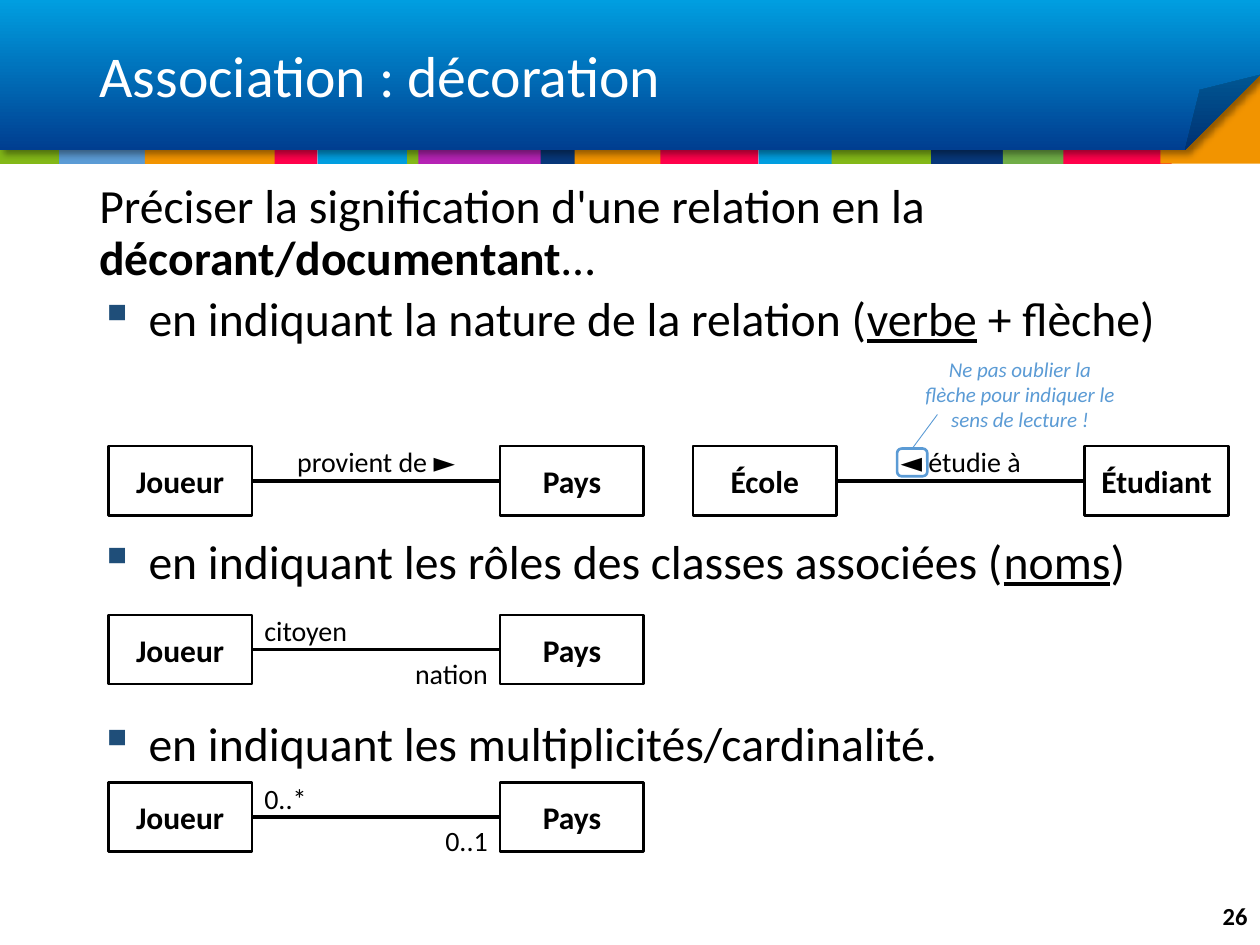
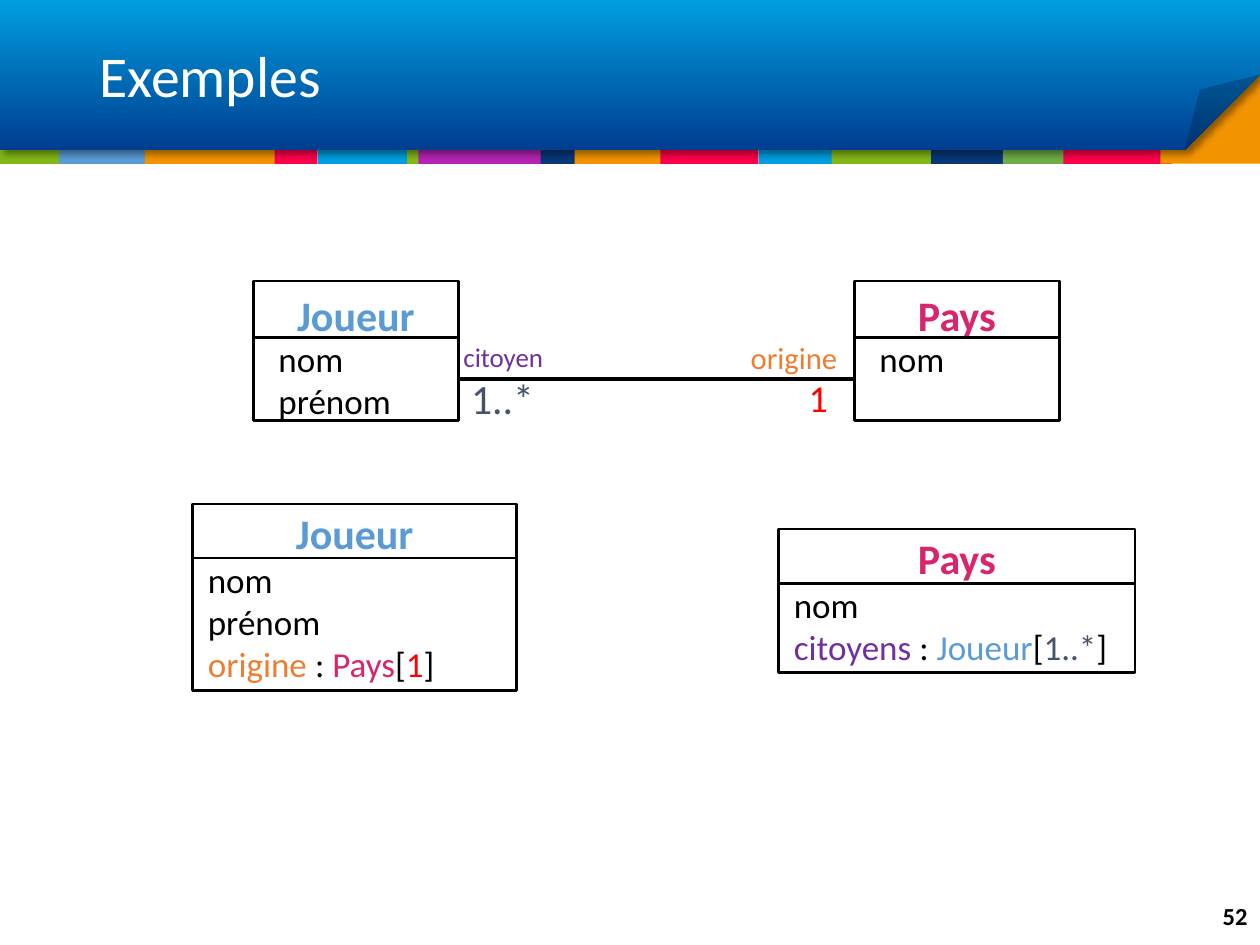
"""Builds two slides on UML associations: decoration and examples."""
from lxml import etree
from pptx import Presentation
from pptx.dml.color import RGBColor
from pptx.enum.shapes import MSO_CONNECTOR, MSO_SHAPE
from pptx.enum.text import MSO_ANCHOR, MSO_AUTO_SIZE, PP_ALIGN
from pptx.oxml import parse_xml
from pptx.oxml.ns import nsdecls, qn
from pptx.util import Inches, Pt

RECT, ROUND, FOLDED = MSO_SHAPE.RECTANGLE, MSO_SHAPE.ROUNDED_RECTANGLE, MSO_SHAPE.FOLDED_CORNER
STRAIGHT = MSO_CONNECTOR.STRAIGHT
LEFT, CENTER, RIGHT = PP_ALIGN.LEFT, PP_ALIGN.CENTER, PP_ALIGN.RIGHT
TOP, MIDDLE = MSO_ANCHOR.TOP, MSO_ANCHOR.MIDDLE
NO_FIT = MSO_AUTO_SIZE.NONE

FONT = "Calibri"
BLACK = RGBColor(0x00, 0x00, 0x00)
WHITE = RGBColor(0xFF, 0xFF, 0xFF)
CYAN = RGBColor(0x00, 0x9E, 0xE0)
DEEP_BLUE = RGBColor(0x00, 0x3E, 0x90)
NAVY = RGBColor(0x07, 0x37, 0x79)
SKY = RGBColor(0x5B, 0x9B, 0xD5)
LIME = RGBColor(0x83, 0xB8, 0x18)
GREEN = RGBColor(0x70, 0xAD, 0x47)
AMBER = RGBColor(0xF2, 0x94, 0x00)
RED = RGBColor(0xFF, 0x01, 0x4B)
VIOLET = RGBColor(0xB5, 0x23, 0xB4)
BULLET = RGBColor(0x1F, 0x4E, 0x79)
PINK = RGBColor(0xD8, 0x26, 0x6E)
ORANGE = RGBColor(0xED, 0x7D, 0x31)
PURPLE = RGBColor(0x70, 0x30, 0xA0)
SLATE = RGBColor(0x44, 0x54, 0x6A)
BRIGHT_RED = RGBColor(0xFF, 0x00, 0x00)

BAND_TOP, BAND_HEIGHT = 0.81, 0.49
BANDS = [
    (2.97, 0.51, LIME), (0, 0.51, LIME), (0.47, 0.69, SKY), (1.15, 1.1, AMBER),
    (2.18, 0.34, RED), (2.52, 0.71, CYAN), (3.32, 1.01, VIOLET), (4.29, 0.28, NAVY),
    (4.56, 0.71, AMBER), (5.24, 0.78, RED), (6.02, 0.61, CYAN), (6.6, 0.91, LIME),
    (7.39, 0.58, NAVY), (7.96, 0.5, GREEN), (8.44, 0.86, RED),
]
CLASS_WIDTH, CLASS_HEIGHT, CLASS_GAP = 1.14, 0.55, 1.97
HEADER_SHADOW = (
    f'<a:effectLst {nsdecls("a")}><a:outerShdw blurRad="50800" dist="38100" dir="2700000" '
    'algn="tl" rotWithShape="0"><a:srgbClr val="000000"><a:alpha val="40000"/></a:srgbClr>'
    "</a:outerShdw></a:effectLst>"
)
HALF_FOLD = f'<a:avLst {nsdecls("a")}><a:gd name="adj" fmla="val 50000"/></a:avLst>'


def write(tf, paragraphs, size=18, color=BLACK, bold=False, italic=False, align=LEFT,
          anchor=TOP, spacing=None, before=()):
    """Fill a text frame; a paragraph is a string or a list of strings and (text, overrides)."""
    tf.word_wrap = True
    tf.auto_size = NO_FIT
    tf.vertical_anchor = anchor
    if isinstance(paragraphs, str):
        paragraphs = [paragraphs]
    for i, runs in enumerate(paragraphs):
        p = tf.paragraphs[0] if i == 0 else tf.add_paragraph()
        p.alignment = align
        if spacing:
            p.line_spacing = spacing
        if before and before[i]:
            p.space_before = Pt(before[i])
        for run in [runs] if isinstance(runs, str) else runs:
            text, own = (run, {}) if isinstance(run, str) else run
            r = p.add_run()
            r.text = text
            r.font.name = FONT
            r.font.size = Pt(size)
            r.font.color.rgb = own.get("color", color)
            r.font.bold = own.get("bold", bold)
            r.font.italic = italic
            r.font.underline = own.get("underline")


def add_bullet(p, indent):
    """Give a paragraph a coloured square bullet and a hanging indent."""
    pPr = p._p.get_or_add_pPr()
    pPr.set("marL", str(Inches(indent)))
    pPr.set("indent", str(-Inches(indent)))
    clr = etree.SubElement(pPr, qn("a:buClr"))
    etree.SubElement(clr, qn("a:srgbClr")).set("val", str(BULLET))
    etree.SubElement(pPr, qn("a:buChar")).set("char", "▪")


class Deck:
    """Holds the shared style and the current slide."""

    def __init__(self):
        """Start an empty 4:3 presentation."""
        self.prs = Presentation()
        self.prs.slide_width, self.prs.slide_height = Inches(10), Inches(7.5)
        self.s = None

    def slide(self, title, number):
        """Add a slide with header, title and page number."""
        self.s = self.prs.slides.add_slide(self.prs.slide_layouts[5])
        self.header()
        sp = self.s.shapes.title
        sp.left, sp.top, sp.width, sp.height = map(Inches, (0.69, 0.25, 8.62, 0.75))
        write(sp.text_frame, title, size=33, color=WHITE, anchor=MIDDLE, spacing=0.9)
        sp.element.getparent().append(sp.element)
        self.text(9.31, 7.07, 0.69, 0.4, number, size=14, bold=True, align=RIGHT, anchor=MIDDLE)

    def header(self):
        """Draw the coloured bands under the folded title banner."""
        for x, width, color in BANDS:
            self.shape(x, BAND_TOP, width, BAND_HEIGHT, fill=color)
        self.shape(9.21, 0.47, 0.79, 0.83, fill=AMBER)
        banner = self.shape(0, 0, 10, 1.19, kind=FOLDED)
        banner.fill.gradient()
        banner.fill.gradient_angle = 270
        for stop, color in zip(banner.fill.gradient_stops, (CYAN, DEEP_BLUE)):
            stop.color.rgb = color
        spPr = banner.element.spPr
        geometry = spPr.find(qn("a:prstGeom"))
        for child in list(geometry):
            geometry.remove(child)
        geometry.append(parse_xml(HALF_FOLD))
        spPr.remove(spPr.find(qn("a:effectLst")))
        spPr.append(parse_xml(HEADER_SHADOW))

    def shape(self, x, y, w, h, kind=RECT, fill=None, line=None):
        """Add a flat preset shape."""
        sp = self.s.shapes.add_shape(kind, Inches(x), Inches(y), Inches(w), Inches(h))
        sp.shadow.inherit = False
        if fill is None:
            sp.fill.background()
        else:
            sp.fill.solid()
            sp.fill.fore_color.rgb = fill
        if line is None:
            sp.line.fill.background()
        else:
            sp.line.color.rgb = line
            sp.line.width = Pt(1.5)
        return sp

    def text(self, x, y, w, h, paragraphs, **fmt):
        """Add a text box and return its frame."""
        tf = self.s.shapes.add_textbox(Inches(x), Inches(y), Inches(w), Inches(h)).text_frame
        write(tf, paragraphs, **fmt)
        return tf

    def line(self, start, site, end=None, end_site=None, to=(0, 0), color=BLACK, width=2.25):
        """Draw a line from a shape's side to another shape or to a point."""
        c = self.s.shapes.add_connector(STRAIGHT, 0, 0, Inches(to[0]), Inches(to[1]))
        c.begin_connect(start, site)
        if end is not None:
            c.end_connect(end, end_site)
        c.line.color.rgb = color
        c.line.width = Pt(width)
        etree.SubElement(c.element.spPr, qn("a:effectLst"))

    def association(self, x, y, names, above, below=None, align=LEFT):
        """Draw two named classes, the line between them and its labels."""
        ends = []
        for i, name in enumerate(names):
            sp = self.shape(x + i * (CLASS_WIDTH + CLASS_GAP), y, CLASS_WIDTH, CLASS_HEIGHT,
                            line=BLACK)
            write(sp.text_frame, name, bold=True, align=CENTER, anchor=MIDDLE)
            ends.append(sp)
        self.line(ends[0], 3, ends[1], 1)
        gap_x = x + CLASS_WIDTH
        self.text(gap_x, y - 0.06, CLASS_GAP, 0.37, above, size=16, align=align)
        if below:
            self.text(gap_x, y + 0.28, CLASS_GAP, 0.37, below, size=16, align=RIGHT)

    def uml_class(self, x, y, w, heights, name, color, fields, name_top, indent):
        """Draw a class with a name row over a fields row; return the fields row."""
        head = self.shape(x, y, w, heights[0], fill=WHITE, line=BLACK)
        body = self.shape(x, y + heights[0], w, heights[1], fill=WHITE, line=BLACK)
        head.text_frame.margin_top = Inches(name_top)
        head.text_frame.margin_bottom = 0
        write(head.text_frame, name, size=24, color=color, bold=True, align=CENTER)
        tf = body.text_frame
        tf.margin_left = Inches(indent)
        tf.margin_top = tf.margin_right = tf.margin_bottom = 0
        write(tf, fields, size=20)
        return body


def decoration_slide(deck):
    """Build the slide on decorating an association."""
    deck.slide("Association : décoration", "26")
    underlined = {"underline": True}
    tf = deck.text(0.69, 1.4, 8.62, 4.91, [
        ["Préciser la signification d'une relation en la ",
         ("décorant/documentant", {"bold": True}), "…"],
        ["en indiquant la nature de la relation (", ("verbe", underlined), " + flèche)"],
        ["en indiquant les rôles des classes associées (", ("noms", underlined), ")"],
        "en indiquant les multiplicités/cardinalité.",
    ], size=27.2, spacing=0.9, before=(0, 5.4, 109.5, 74.7))
    for p in tf.paragraphs[1:]:
        add_bullet(p, 0.39)

    player_country = ("Joueur", "Pays")
    deck.association(0.86, 3.54, player_country, "provient de ►", align=CENTER)
    deck.association(5.5, 3.54, ("École", "Étudiant"), "◄ étudie à", align=CENTER)
    deck.association(0.86, 4.88, player_country, "citoyen", "nation")
    deck.association(0.86, 6.21, player_country, "0..*", "0..1")

    arrow_frame = deck.shape(7.12, 3.56, 0.24, 0.22, kind=ROUND, line=SKY)
    deck.line(arrow_frame, 0, to=(7.44, 3.29), color=SKY, width=0.5)
    deck.text(7.24, 2.78, 1.71, 0.71,
              "Ne pas oublier la flèche pour indiquer le sens de lecture !",
              size=12, color=SKY, italic=True, align=CENTER)


def examples_slide(deck):
    """Build the slide that turns an association into class fields."""
    deck.slide("Exemples", "52")
    player = deck.uml_class(2.01, 2.23, 1.63, (0.45, 0.66), "Joueur", SKY,
                            ["nom", "prénom"], 0.07, 0.2)
    country = deck.uml_class(6.78, 2.23, 1.63, (0.45, 0.66), "Pays", PINK, ["nom"], 0.07, 0.2)
    deck.line(player, 3, country, 1)
    for x, y, w, h, label, size, color in [
        (3.64, 3.02, 0.75, 0.41, "1..*", 23.8, SLATE),
        (6.32, 3.02, 0.54, 0.4, "1", 21.7, BRIGHT_RED),
        (3.58, 2.72, 1.27, 0.29, "citoyen", 15.4, PURPLE),
        (5.86, 2.72, 0.94, 0.36, "origine", 17.5, ORANGE),
    ]:
        deck.text(x, y, w, h, label, size=size, color=color, spacing=0.7)

    origin = [("origine ", {"color": ORANGE}), ":", (" Pays", {"color": PINK}),
              "[", ("1", {"color": BRIGHT_RED}), "]"]
    citizens = [("citoyens ", {"color": PURPLE}), ": ", ("Joueur", {"color": SKY}),
                "[", ("1..*", {"color": SLATE}), "]"]
    deck.uml_class(1.53, 4, 2.57, (0.43, 1.05), "Joueur", SKY,
                   ["nom", "prénom", origin], 0.03, 0.12)
    deck.uml_class(6.18, 4.2, 2.83, (0.43, 0.71), "Pays", PINK, ["nom", citizens], 0.03, 0.12)


def main():
    """Build and save the presentation."""
    deck = Deck()
    decoration_slide(deck)
    examples_slide(deck)
    deck.prs.save("out.pptx")


if __name__ == "__main__":
    main()
